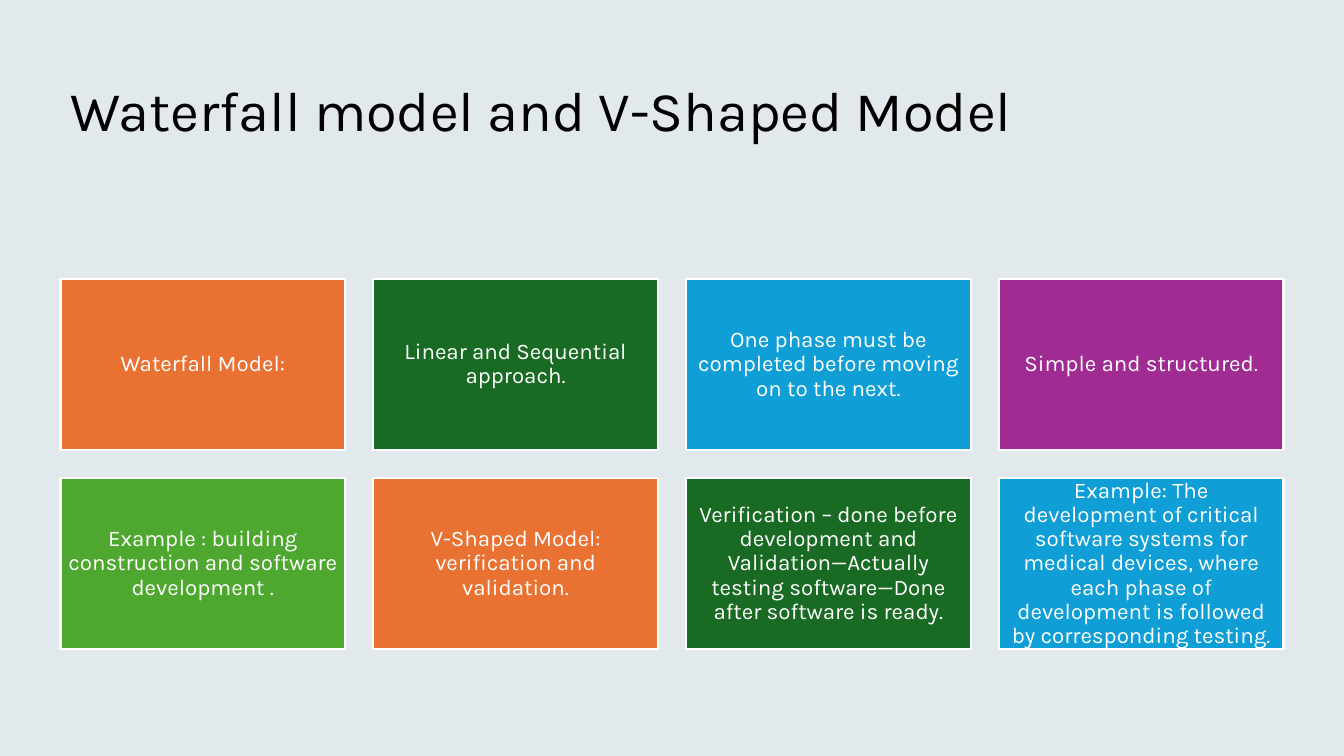
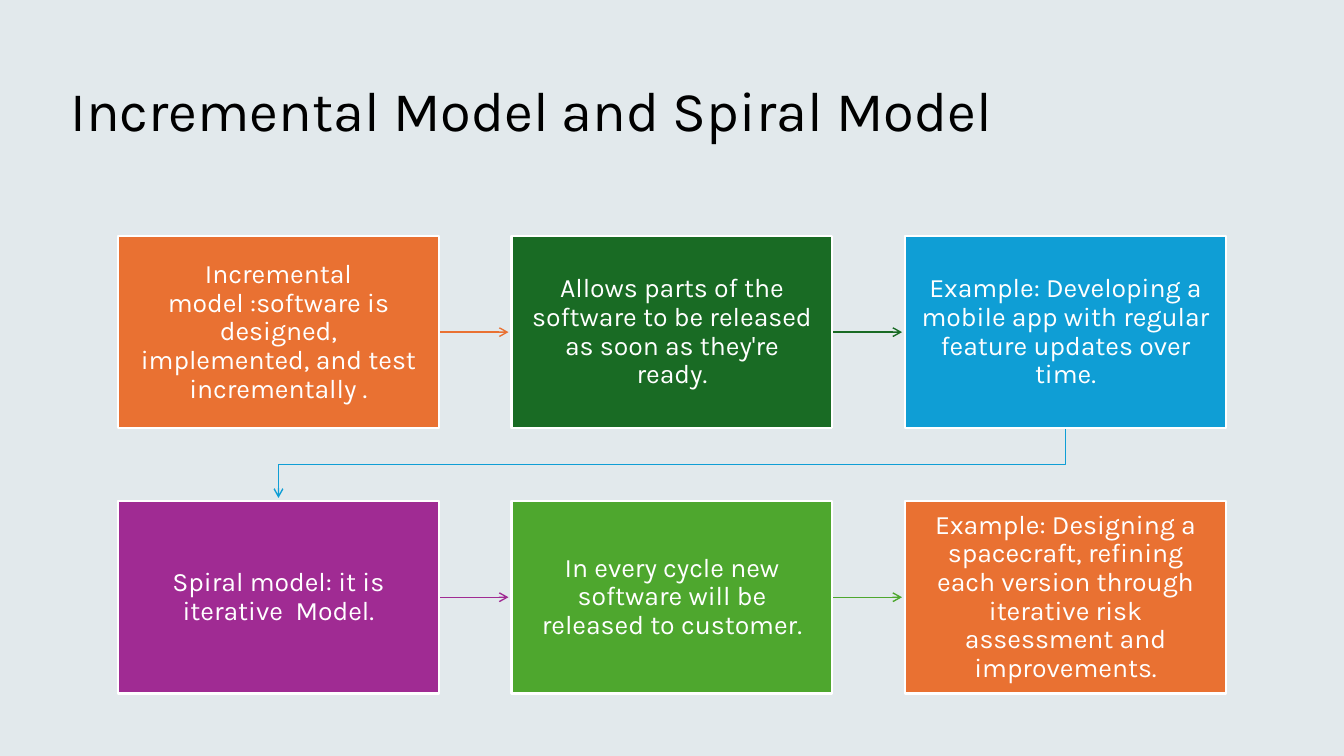
from itertools import cycle

from lxml.etree import SubElement
from pptx import Presentation
from pptx.dml.color import RGBColor
from pptx.enum.shapes import MSO_CONNECTOR, MSO_SHAPE
from pptx.enum.text import MSO_ANCHOR, PP_ALIGN
from pptx.oxml.ns import qn
from pptx.util import Inches, Pt

COLOURS = {
    "page": "E2E9EC",
    "title": "000000",
    "white": "FFFFFF",
    "orange": "E97132",
    "green": "196B24",
    "blue": "0F9ED5",
    "purple": "A02B93",
    "lime": "4EA72E",
}
CARD_COLOURS = ["orange", "green", "blue", "purple", "lime"]
FONT = "Karla"
TITLE_BOX = (0.6, 0.4, 12.13, 1.45)
ARROW_CLEARANCE = 0.03

WATERFALL_CARDS = [
    "Waterfall Model:",
    "Linear and Sequential approach.",
    "One phase must be completed before moving on to the next.",
    "Simple and structured.",
    "Example : building construction and software development .",
    "V-Shaped Model: verification and validation.",
    "Verification – done before development and Validation—Actually testing "
    "software—Done after software is ready.",
    "Example: The development of critical software systems for medical devices, "
    "where each phase of development is followed by corresponding testing.",
]
INCREMENTAL_STEPS = [
    "Incremental model :software is designed, implemented, and test incrementally .",
    "Allows parts of the software to be released as soon as they're ready.",
    "Example: Developing a mobile app with regular feature updates over time.",
    "Spiral model: it is iterative  Model.",
    "In every cycle new software will be released to customer.",
    "Example: Designing a spacecraft, refining each version through iterative "
    "risk assessment and improvements.",
]


def colour(name):
    return RGBColor.from_string(COLOURS[name])


def apply_format(target, values):
    for name, value in values.items():
        setattr(target, name, value)


def write_text(shape, text, size, ink, align, margins):
    frame = shape.text_frame
    apply_format(frame, {"word_wrap": True, "vertical_anchor": MSO_ANCHOR.MIDDLE, **margins})
    para = frame.paragraphs[0]
    apply_format(para, {"alignment": align, "line_spacing": 0.9})
    span = para.add_run()
    span.text = text
    apply_format(span.font, {"name": FONT, "size": Pt(size)})
    span.font.color.rgb = colour(ink)


def add_title(page, text, box):
    shape = page.shapes.add_textbox(*map(Inches, box))
    write_text(shape, text, 40, "title", PP_ALIGN.LEFT, {})


def add_card(page, box, text, fill, size, inset):
    card = page.shapes.add_shape(MSO_SHAPE.RECTANGLE, *map(Inches, box))
    card.shadow.inherit = False
    card.fill.solid()
    card.fill.fore_color.rgb = colour(fill)
    card.line.color.rgb = colour("white")
    card.line.width = Pt(1.5)
    sides = ("left", "top", "right", "bottom")
    margins = {f"margin_{side}": Inches(inset) for side in sides}
    write_text(card, text, size, "white", PP_ALIGN.CENTER, margins)


def grid_boxes(box, columns, rows, gap):
    left, top, width, height = box
    card_width = (width - gap * (columns - 1)) / columns
    card_height = (height - gap * (rows - 1)) / rows
    return [
        (left + column * (card_width + gap), top + row * (card_height + gap),
         card_width, card_height)
        for row in range(rows)
        for column in range(columns)
    ]


def add_card_grid(page, boxes, texts, size, inset):
    for box, text, fill in zip(boxes, texts, cycle(CARD_COLOURS)):
        add_card(page, box, text, fill, size, inset)


def style_arrow(arrow, ink):
    arrow.line.color.rgb = colour(ink)
    arrow.line.width = Pt(1)
    properties = arrow.element.spPr
    SubElement(properties.find(qn("a:ln")), qn("a:tailEnd"), type="arrow")
    SubElement(properties, qn("a:effectLst"))


def add_straight_arrow(page, source, target, ink):
    left, top, width, height = source
    middle = top + height / 2
    ends = (left + width, middle, target[0] - ARROW_CLEARANCE, middle)
    arrow = page.shapes.add_connector(MSO_CONNECTOR.STRAIGHT, *map(Inches, ends))
    style_arrow(arrow, ink)


def add_row_change_arrow(page, source, target, ink):
    start_x = source[0] + source[2] / 2
    start_y = source[1] + source[3]
    end_x = target[0] + target[2] / 2
    turn_y = (start_y + target[1]) / 2
    corners = [(start_x, turn_y), (end_x, turn_y), (end_x, target[1] - ARROW_CLEARANCE)]
    outline = page.shapes.build_freeform(Inches(start_x), Inches(start_y))
    outline.add_line_segments([(Inches(x), Inches(y)) for x, y in corners], close=False)
    arrow = outline.convert_to_shape()
    arrow.fill.background()
    style_arrow(arrow, ink)


def add_flow_arrows(page, boxes):
    for source, target, ink in zip(boxes, boxes[1:], cycle(CARD_COLOURS)):
        same_row = source[1] == target[1]
        draw = add_straight_arrow if same_row else add_row_change_arrow
        draw(page, source, target, ink)


def add_page(deck, title):
    page = deck.slides.add_slide(deck.slide_layouts[6])
    add_title(page, title, TITLE_BOX)
    return page


def add_waterfall_page(deck):
    page = add_page(deck, "Waterfall model and V-Shaped Model")
    boxes = grid_boxes((0.6, 2.77, 12.13, 3.67), 4, 2, 0.28)
    add_card_grid(page, boxes, WATERFALL_CARDS, 16, 0.07)


def add_incremental_page(deck):
    page = add_page(deck, "Incremental Model and Spiral Model")
    boxes = grid_boxes((1.17, 2.34, 10.99, 4.54), 3, 2, 0.72)
    add_flow_arrows(page, boxes)
    add_card_grid(page, boxes, INCREMENTAL_STEPS, 19, 0.16)


def main():
    deck = Presentation()
    apply_format(deck, {"slide_width": Inches(13.33), "slide_height": Inches(7.5)})
    backdrop = deck.slide_master.background.fill
    backdrop.solid()
    backdrop.fore_color.rgb = colour("page")
    add_waterfall_page(deck)
    add_incremental_page(deck)
    deck.save("out.pptx")


if __name__ == "__main__":
    main()
